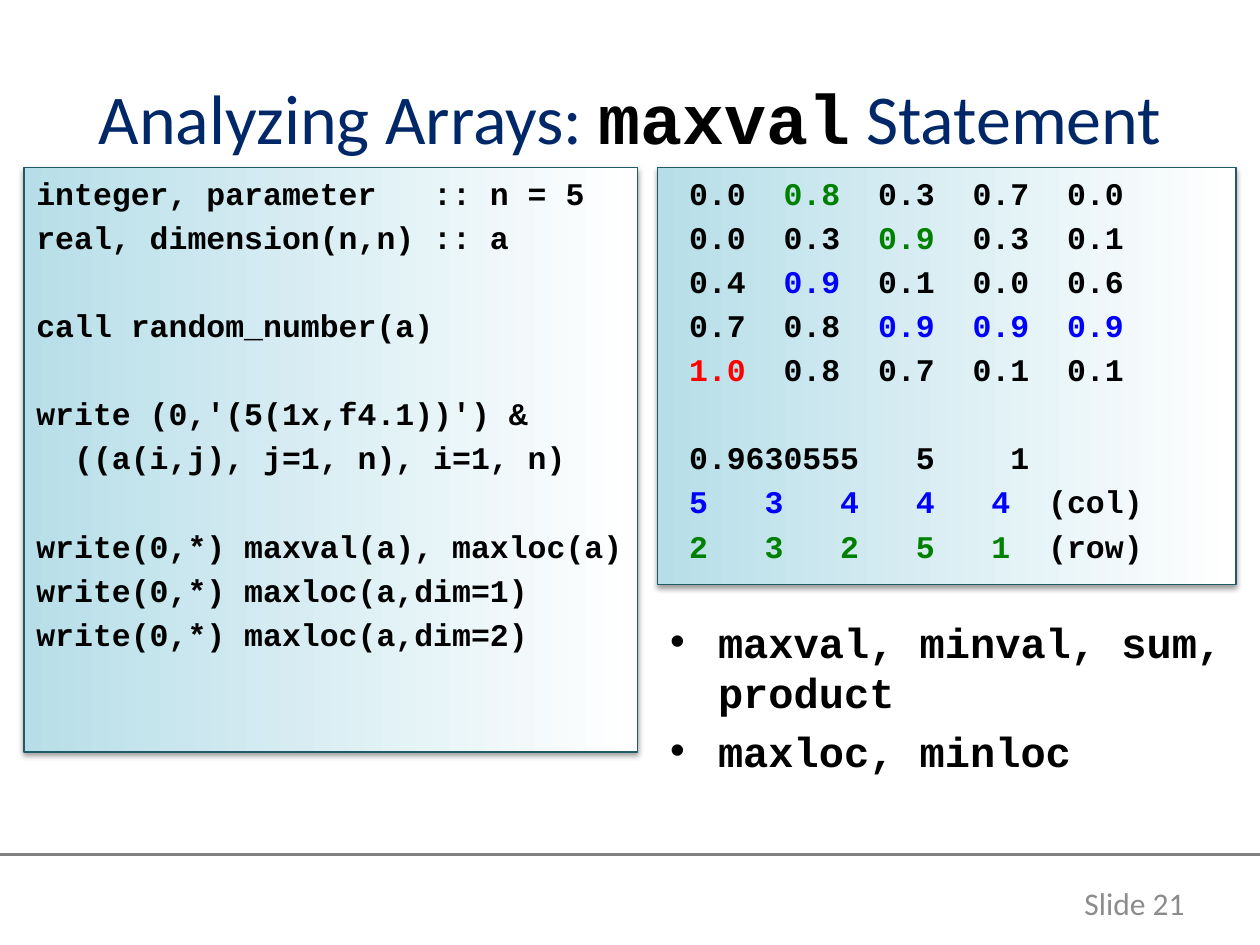
"""Build the slide on analysing arrays with the maxval statement."""
from lxml import etree
from pptx import Presentation
from pptx import util as u
from pptx.dml.color import RGBColor
from pptx.enum import shapes, text
from pptx.oxml import ns

COLORS = {
    "black": "000000", "navy": "002868", "green": "008000", "blue": "0000FF",
    "red": "FF0000", "grey": "808080", "number": "8C8C8C", "pale": "B7DEE8",
    "white": "FFFFFF", "border": "215968",
}
CODE, BODY = "Courier New", "Calibri"

TITLE = [
    ("Analyzing Arrays: ", "navy", BODY),
    ("maxval", "black", CODE),
    (" Statement", "navy", BODY),
]
PROGRAM = [
    ["integer, parameter   :: n = 5", "real, dimension(n,n) :: a"],
    ["call random_number(a)"],
    ["write (0,'(5(1x,f4.1))') &", "  ((a(i,j), j=1, n), i=1, n)"],
    ["write(0,*) maxval(a), maxloc(a)", "write(0,*) maxloc(a,dim=1)",
     "write(0,*) maxloc(a,dim=2)"],
]
OUTPUT = [
    [
        [(" 0.0  ", "black"), ("0.8  ", "green"), ("0.3  0.7  0.0", "black")],
        [(" 0.0  0.3  ", "black"), ("0.9  ", "green"), ("0.3  0.1", "black")],
        [(" 0.4  ", "black"), ("0.9  ", "blue"), ("0.1  0.0  0.6", "black")],
        [(" 0.7  0.8  ", "black"), ("0.9  0.9  0.9", "blue")],
        [(" 1.0  ", "red"), ("0.8  0.7  0.1  0.1", "black")],
    ],
    [
        " 0.9630555   5    1",
        [(" ", "black"), ("5   3   4   4   4  ", "blue"), ("(col)", "black")],
        [(" ", "black"), ("2   3   2   5   1  ", "green"), ("(row)", "black")],
    ],
]
BULLETS = ["maxval, minval, sum, product", "maxloc, minloc"]

TOP, RIGHT_LEFT, RIGHT_WIDTH = 1.33, 5.22, 4.59
CODE_SIZE, BULLET_SIZE = 18, 24
SPACING = 0.2
BLOCK_GAP = 28.8


def rgb(name):
    return RGBColor.from_string(COLORS[name])


def box(*inches):
    return [u.Inches(v) for v in inches]


def add_run(p, content, color, font, size):
    r = p.add_run()
    r.text = content
    r.font.name, r.font.size = font, u.Pt(size)
    r.font.bold = font == CODE
    r.font.color.rgb = rgb(color)


def add_code(p, line, size, before):
    p.alignment = text.PP_ALIGN.LEFT
    p.space_before = u.Pt(before)
    for content, color in [(line, "black")] if isinstance(line, str) else line:
        add_run(p, content, color, CODE, size)


def paragraphs(tf):
    yield tf.paragraphs[0]
    while True:
        yield tf.add_paragraph()


def add_shadow(sp):
    sp.shadow.inherit = False
    effects = sp._element.spPr.find(ns.qn("a:effectLst"))
    shadow = etree.SubElement(effects, ns.qn("a:outerShdw"), blurRad=str(u.Pt(3.1)),
                              dist=str(u.Pt(1.6)), dir="5400000", rotWithShape="0")
    color = etree.SubElement(shadow, ns.qn("a:srgbClr"), val=COLORS["black"])
    etree.SubElement(color, ns.qn("a:alpha"), val="38000")


def add_panel(s, place, blocks):
    sp = s.shapes.add_shape(shapes.MSO_SHAPE.RECTANGLE, *box(*place))
    sp.fill.gradient()
    sp.fill.gradient_angle = 0
    for stop, color, position in zip(sp.fill.gradient_stops, ("pale", "white"), (0, 1)):
        stop.color.rgb, stop.position = rgb(color), position
    sp.line.color.rgb, sp.line.width = rgb("border"), u.Pt(0.75)
    add_shadow(sp)
    tf = sp.text_frame
    tf.word_wrap, tf.vertical_anchor = True, text.MSO_ANCHOR.TOP
    new_p = paragraphs(tf)
    for b, block in enumerate(blocks):
        for i, line in enumerate(block):
            before = BLOCK_GAP if b and not i else SPACING * CODE_SIZE
            add_code(next(new_p), line, CODE_SIZE, before)


def add_bullets(s, place, lines):
    tf = s.shapes.add_textbox(*box(*place)).text_frame
    tf.word_wrap = True
    for p, line in zip(paragraphs(tf), lines):
        add_code(p, line, BULLET_SIZE, SPACING * BULLET_SIZE)
        pPr = p._p.get_or_add_pPr()
        pPr.set("marL", str(u.Inches(0.38)))
        pPr.set("indent", str(u.Inches(-0.38)))
        etree.SubElement(pPr, ns.qn("a:buFont"), typeface="Arial")
        etree.SubElement(pPr, ns.qn("a:buChar"), char="\u2022")


prs = Presentation()
prs.slide_width, prs.slide_height = box(10, 7.5)
s = prs.slides.add_slide(prs.slide_layouts[5])

rule = s.shapes.add_connector(shapes.MSO_CONNECTOR.STRAIGHT, *box(0, 6.78, 10, 6.78))
rule.line.color.rgb, rule.line.width = rgb("grey"), u.Pt(2)
etree.SubElement(rule._element.spPr, ns.qn("a:effectLst"))

title = s.shapes.title
title.left, title.top, title.width, title.height = box(0.5, 0.3, 9, 1.25)
title.text_frame.vertical_anchor = text.MSO_ANCHOR.MIDDLE
p = title.text_frame.paragraphs[0]
p.alignment = text.PP_ALIGN.CENTER
for content, color, font in TITLE:
    add_run(p, content, color, font, 40)

add_bullets(s, (RIGHT_LEFT, 4.84, RIGHT_WIDTH, 1.83), BULLETS)
add_panel(s, (0.19, TOP, 4.87, 4.64), PROGRAM)
add_panel(s, (RIGHT_LEFT, TOP, RIGHT_WIDTH, 3.31), OUTPUT)

tf = s.shapes.add_textbox(*box(8.41, 6.97, 1.09, 0.4)).text_frame
tf.word_wrap, tf.vertical_anchor = True, text.MSO_ANCHOR.MIDDLE
p = tf.paragraphs[0]
p.alignment = text.PP_ALIGN.RIGHT
add_run(p, "Slide 21", "number", BODY, 18)

prs.save("out.pptx")
